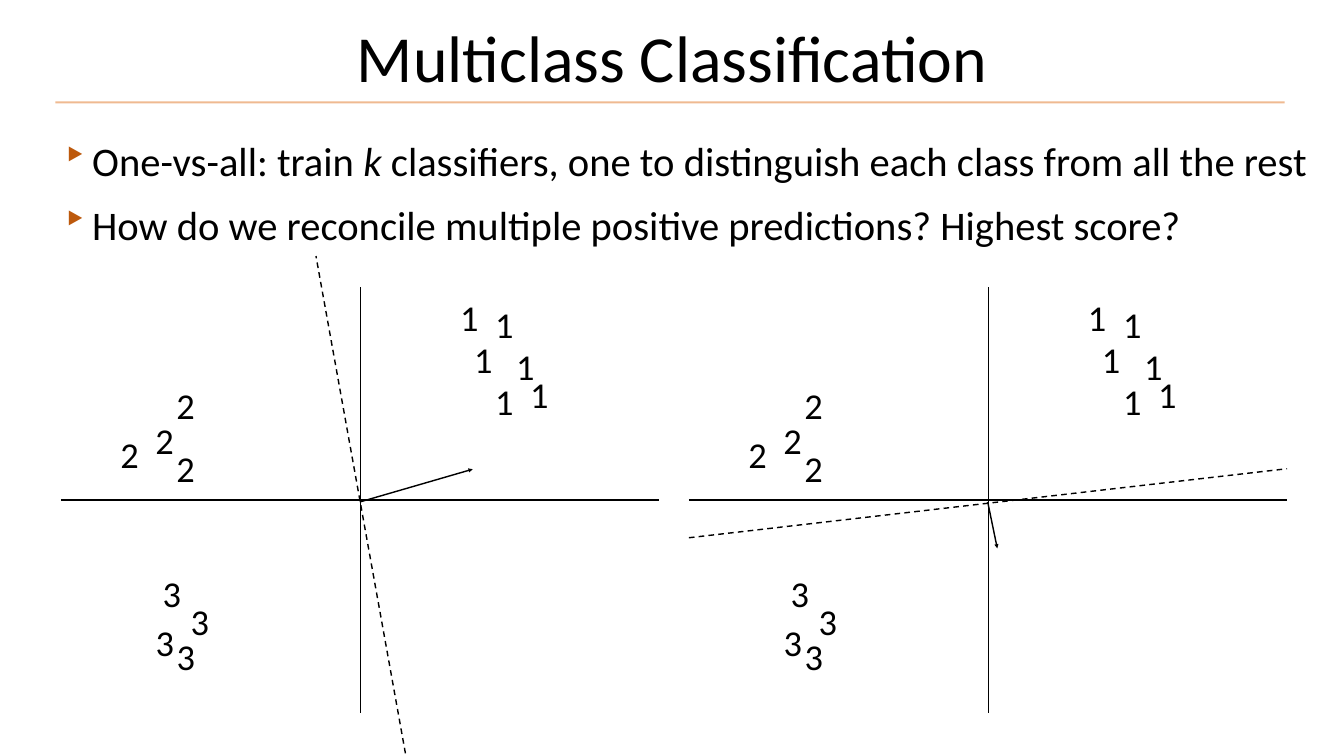
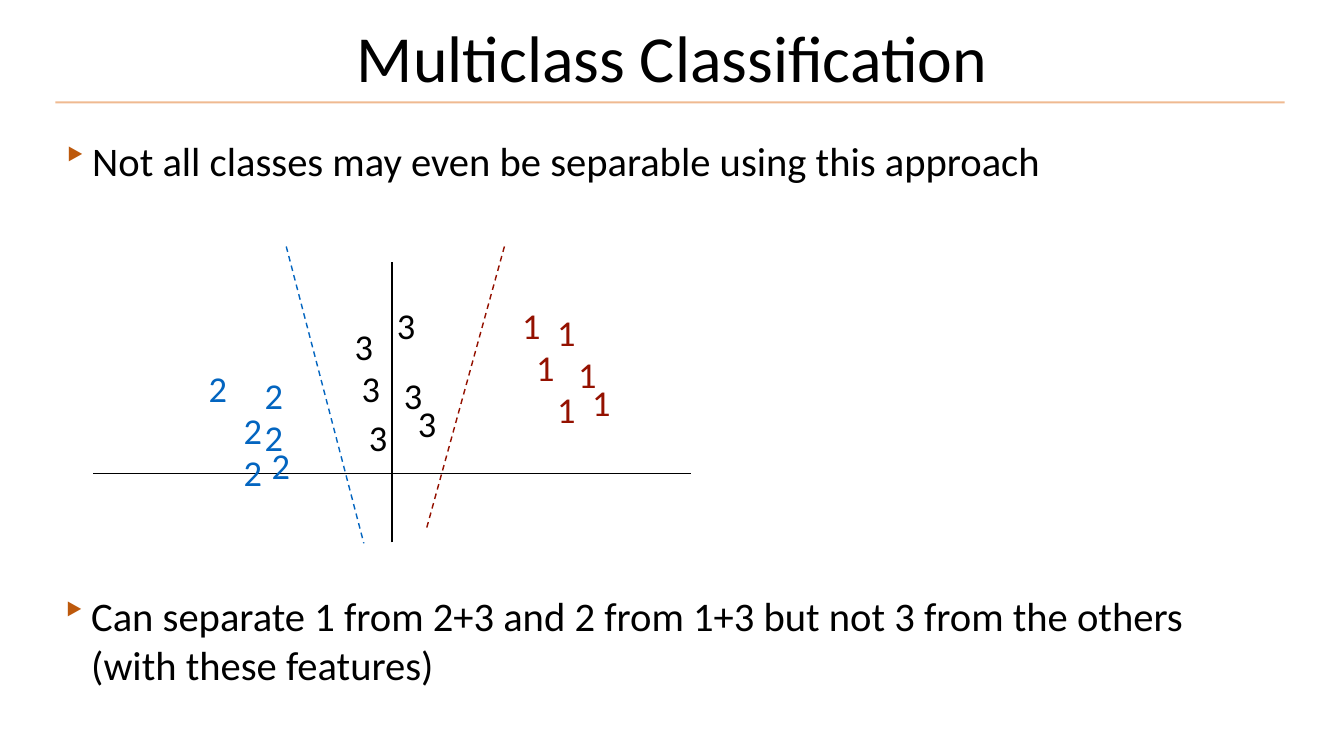
import dataclasses

import lxml.etree
import pptx
import pptx.dml.color
import pptx.enum.dml
import pptx.enum.shapes
import pptx.enum.text
import pptx.oxml.ns
import pptx.util

Inches = pptx.util.Inches
qn = pptx.oxml.ns.qn


@dataclasses.dataclass(frozen=True)
class Theme:
    font: str = "Calibri"
    title_size: int = 94
    body_size: int = 58
    digit_size: int = 52
    black: str = "000000"
    red: str = "941100"
    blue: str = "0365C0"
    rule: str = "DE6A10"
    rule_opacity: int = 46
    bullet: str = "BD590C"
    line_width: int = 2
    rule_width: int = 3
    inset: float = 0.08


THEME = Theme()

TITLE = "Multiclass Classification"
TITLE_AREA = (5.29, -0.16, 16.09, 2.56)
RULE = ((1.1, 2.03), (25.49, 2.03))

# A bullet is its area and its (text, italic) spans.
RECONCILE_BULLETS = [
    ((1.17, 2.61, 25.45, 0.98), [
        ("One-vs-all: train ", False),
        ("k", True),
        (" classifiers, one to distinguish each class from all the rest", False),
    ]),
    ((1.17, 3.88, 23.69, 0.98), [
        ("How do we reconcile multiple positive predictions? Highest score?", False),
    ]),
]
SEPARABLE_BULLETS = [
    ((1.17, 2.61, 23.38, 0.98), [
        ("Not all classes may even be separable using this approach", False),
    ]),
    ((1.15, 11.64, 23.38, 1.98), [
        ("Can separate 1 from 2+3 and 2 from 1+3 but not 3 from the others "
         "(with these features)", False),
    ]),
]

# A cluster is a digit, its colour, its corner in inches and its points in grid steps.
GRID_STEP = 0.139
DIGIT_BOX = (0.54, 0.87)
ONES = [(0, 0), (5, 1), (2, 6), (8, 7), (5, 12), (10, 11)]
RECONCILE_CLUSTERS = [
    ("1", THEME.black, (9.05, 5.85), ONES),
    ("2", THEME.black, (2.31, 7.59), [(8, 0), (5, 5), (8, 9), (0, 7)]),
    ("3", THEME.black, (3.01, 11.32), [(3, 9), (0, 7), (5, 4), (1, 0)]),
]
SEPARABLE_CLUSTERS = [
    ("1", THEME.red, (10.28, 6.01), ONES),
    ("2", THEME.blue, (4.06, 7.26),
     [(0, 0), (8, 1), (5, 6), (8, 7), (5, 12), (9, 11)]),
    ("3", THEME.black, (6.96, 6.43),
     [(0, 0), (6, -3), (1, 6), (7, 7), (2, 13), (9, 11)]),
]

RECONCILE_AXES = [((7.15, 14.14), (7.15, 5.7)), ((1.21, 9.92), (13.08, 9.92))]
SEPARABLE_AXES = [((7.78, 10.76), (7.78, 5.19)), ((1.85, 9.4), (13.72, 9.4))]
SEPARABLE_BOUNDARIES = [
    ((5.68, 4.89), (7.22, 10.78), THEME.blue),
    ((10.01, 4.89), (8.46, 10.5), THEME.red),
]

# Each panel has a shift to the right, and a boundary and normal given from its own left.
PANEL_PITCH = 12.46
PANELS = [
    {"boundary": ((8.08, 15.14), (6.27, 5.08)), "normal": ((7.14, 9.96), (9.38, 9.31))},
    {"boundary": ((1.21, 10.67), (13.08, 9.3)), "normal": ((7.14, 9.96), (7.33, 10.88))},
]


def color(code):
    return pptx.dml.color.RGBColor.from_string(code)


def style_font(para, size, code=THEME.black):
    para.font.name = THEME.font
    para.font.size = pptx.util.Pt(size)
    para.font.color.rgb = color(code)


def set_frame(frame, anchor, wrap, auto_size):
    frame.word_wrap = wrap
    frame.auto_size = auto_size
    frame.vertical_anchor = anchor
    frame.margin_left = frame.margin_right = Inches(THEME.inset)
    frame.margin_top = frame.margin_bottom = Inches(THEME.inset)


def add_line(shapes, start, end, code=THEME.black, width=THEME.line_width,
             dashed=False, arrow=False, shift=0):
    line = shapes.add_connector(
        pptx.enum.shapes.MSO_CONNECTOR.STRAIGHT,
        Inches(start[0] + shift), Inches(start[1]),
        Inches(end[0] + shift), Inches(end[1]))
    line.line.color.rgb = color(code)
    line.line.width = pptx.util.Pt(width)
    if dashed:
        line.line.dash_style = pptx.enum.dml.MSO_LINE.DASH
    properties = line.element.spPr
    if arrow:
        lxml.etree.SubElement(properties.find(qn("a:ln")), qn("a:tailEnd"), type="triangle")
    lxml.etree.SubElement(properties, qn("a:effectLst"))
    return line


def add_clusters(shapes, clusters, shift=0):
    for digit, code, (left, top), points in clusters:
        for column, row in points:
            box = shapes.add_textbox(
                Inches(left + shift + column * GRID_STEP), Inches(top + row * GRID_STEP),
                *map(Inches, DIGIT_BOX))
            set_frame(box.text_frame, pptx.enum.text.MSO_ANCHOR.MIDDLE, False,
                      pptx.enum.text.MSO_AUTO_SIZE.SHAPE_TO_FIT_TEXT)
            para = box.text_frame.paragraphs[0]
            para.text = digit
            style_font(para, THEME.digit_size, code)


def add_bullet(slide, area, spans):
    box = slide.shapes.add_textbox(*map(Inches, area))
    set_frame(box.text_frame, pptx.enum.text.MSO_ANCHOR.TOP, True,
              pptx.enum.text.MSO_AUTO_SIZE.SHAPE_TO_FIT_TEXT)
    para = box.text_frame.paragraphs[0]
    properties = para._p.get_or_add_pPr()
    properties.set("marL", str(Inches(0.58)))
    properties.set("indent", str(Inches(-0.58)))
    bullet_color = lxml.etree.SubElement(properties, qn("a:buClr"))
    lxml.etree.SubElement(bullet_color, qn("a:srgbClr"), val=THEME.bullet)
    lxml.etree.SubElement(properties, qn("a:buChar"), char="‣")
    style_font(para, THEME.body_size)
    for text, italic in spans:
        span = para.add_run()
        span.text = text
        if italic:
            span.font.italic = True


def add_page(deck, layout, bullets):
    page = deck.slides.add_slide(layout)
    title = page.shapes.title
    title.left, title.top, title.width, title.height = map(Inches, TITLE_AREA)
    set_frame(title.text_frame, pptx.enum.text.MSO_ANCHOR.MIDDLE, True,
              pptx.enum.text.MSO_AUTO_SIZE.NONE)
    para = title.text_frame.paragraphs[0]
    para.text = TITLE
    para.alignment = pptx.enum.text.PP_ALIGN.CENTER
    style_font(para, THEME.title_size)
    for area, spans in bullets:
        add_bullet(page, area, spans)
    return page


def move_rule_to_layout(page, layout):
    """Draw the title rule once, on the layout that all pages share."""
    rule = add_line(page.shapes, *RULE, THEME.rule, THEME.rule_width)
    tint = next(rule.element.spPr.iter(qn("a:srgbClr")))
    lxml.etree.SubElement(tint, qn("a:alpha"), val=str(THEME.rule_opacity * 1000))
    layout.shapes.element.append(rule.element)


def add_panel(page, panel, shift):
    shapes = page.shapes.add_group_shape().shapes
    for start, end in RECONCILE_AXES:
        add_line(shapes, start, end, shift=shift)
    add_clusters(shapes, RECONCILE_CLUSTERS, shift)
    add_line(shapes, *panel["normal"], arrow=True, shift=shift)
    add_line(shapes, *panel["boundary"], dashed=True, shift=shift)


def main():
    deck = pptx.Presentation()
    deck.slide_width, deck.slide_height = Inches(26.67), Inches(15)
    layout = deck.slide_layouts.get_by_name("Title Only")

    reconcile_page = add_page(deck, layout, RECONCILE_BULLETS)
    move_rule_to_layout(reconcile_page, layout)
    for index, panel in enumerate(PANELS):
        add_panel(reconcile_page, panel, index * PANEL_PITCH)

    separable_page = add_page(deck, layout, SEPARABLE_BULLETS)
    for start, end in SEPARABLE_AXES:
        add_line(separable_page.shapes, start, end)
    add_clusters(separable_page.shapes, SEPARABLE_CLUSTERS)
    for start, end, code in SEPARABLE_BOUNDARIES:
        add_line(separable_page.shapes, start, end, code, dashed=True)

    deck.save("out.pptx")


if __name__ == "__main__":
    main()
